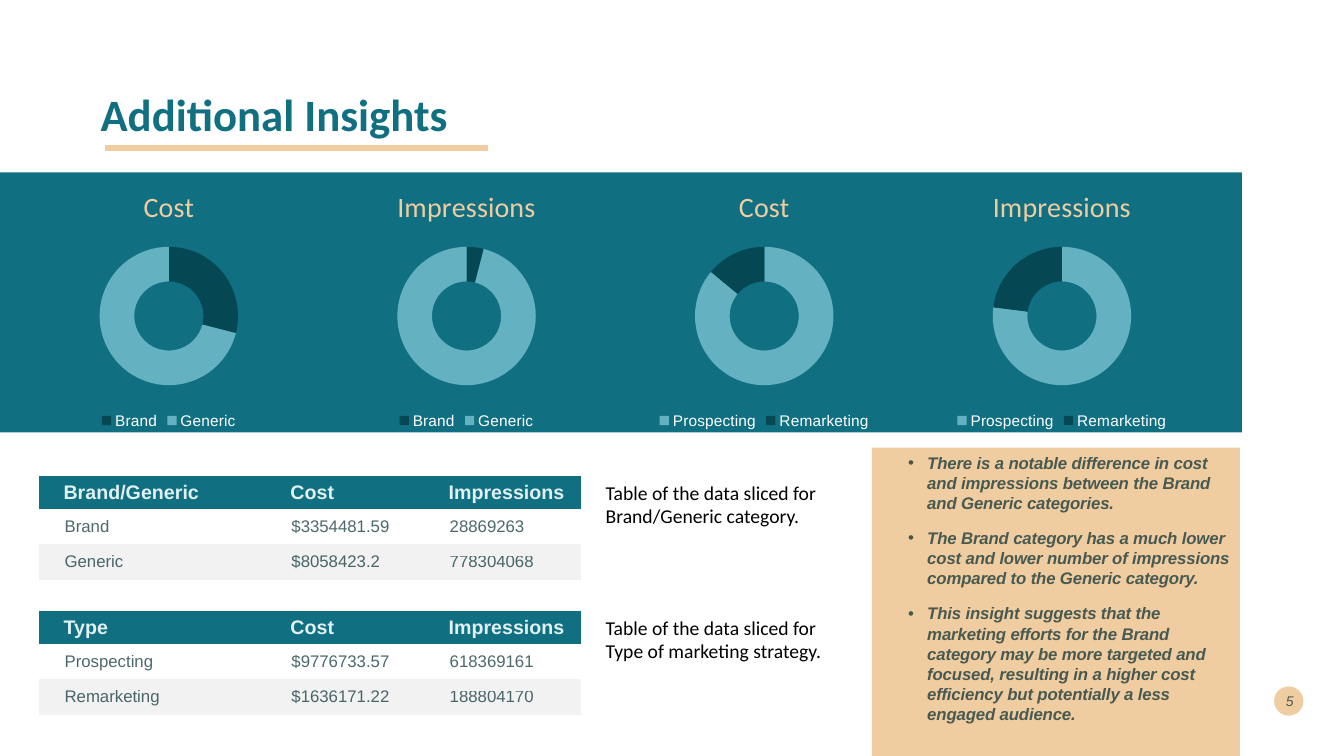
from lxml import etree
from pptx import Presentation
from pptx.chart.data import CategoryChartData
from pptx.dml.color import RGBColor
from pptx.enum.chart import XL_CHART_TYPE as ChartType, XL_LEGEND_POSITION as LegendPosition
from pptx.enum.shapes import MSO_CONNECTOR as Connector, MSO_SHAPE as Shape
from pptx.enum.text import MSO_ANCHOR as Anchor, PP_ALIGN as Align
from pptx.oxml import parse_xml
from pptx.oxml.ns import nsdecls, qn
from pptx.util import Inches, Pt

TEAL = RGBColor(0x10, 0x70, 0x82)
DARK_TEAL = RGBColor(0x05, 0x48, 0x54)
LIGHT_TEAL = RGBColor(0x64, 0xB2, 0xC1)
PALE_TEAL = RGBColor(0xE0, 0xF0, 0xF3)
SAND = RGBColor(0xF0, 0xCD, 0xA1)
INK = RGBColor(0x00, 0x29, 0x2E)
STRIPE = RGBColor(0xF2, 0xF2, 0xF2)
WHITE = RGBColor(0xFF, 0xFF, 0xFF)
BLACK = RGBColor(0x00, 0x00, 0x00)

prs = Presentation()
prs.slide_width, prs.slide_height = Inches(13.33), Inches(7.5)
slide = prs.slides.add_slide(prs.slide_layouts[6])
shapes = slide.shapes


def area(left, top, width, height):
    """Turn percentages of the slide's width and height into lengths."""
    across, down = prs.slide_width / 100, prs.slide_height / 100
    return int(left * across), int(top * down), int(width * across), int(height * down)


def add_run(paragraph, text, size, color, font="Arial", bold=False, italic=False, spacing=0):
    """Add one run; INK text is always 70 % opaque."""
    run = paragraph.add_run()
    run.text = text
    run.font.size, run.font.name = Pt(size), font
    run.font.bold, run.font.italic = bold, italic
    run.font.color.rgb = color
    properties = run.font._element
    if spacing:
        properties.set("spc", str(spacing))
    if color == INK:
        etree.SubElement(properties.find(".//" + qn("a:srgbClr")), qn("a:alpha"), val="70000")


# Teal band, page number disc and sand panel
panels = []
for kind, place, color in (
    (Shape.RECTANGLE, (0, 22.8, 92.4, 34.4), TEAL),
    (Shape.OVAL, (94.8, 90.8, 2.18, 3.87), SAND),
    (Shape.RECTANGLE, (64.88, 59.2, 27.38, 40.8), SAND),
):
    panel = shapes.add_shape(kind, *area(*place))
    panel.shadow.inherit = False
    panel.fill.solid()
    panel.fill.fore_color.rgb = color
    panel.line.fill.background()
    panels.append(panel)
insights = panels[-1].text_frame

# Page number, title and table captions
TABLE_TOPS = (62.93, 80.8)
for place, anchor, align, text, style in (
    ((94.05, 90, 2.93, 5.33), Anchor.MIDDLE, Align.RIGHT, "5",
     dict(size=10, color=INK, italic=True)),
    ((6.75, 5.33, 86.25, 19.33), Anchor.MIDDLE, Align.LEFT, "Additional Insights",
     dict(size=32, color=TEAL, font="Calibri", bold=True)),
    ((44.33, TABLE_TOPS[0], 19.5, 7.6), Anchor.TOP, Align.LEFT,
     "Table of the data sliced for Brand/Generic category.",
     dict(size=14, color=BLACK, font="Calibri")),
    ((44.33, TABLE_TOPS[1], 19.5, 7.6), Anchor.TOP, Align.LEFT,
     "Table of the data sliced for Type of marketing strategy.",
     dict(size=14, color=BLACK, font="Calibri")),
):
    frame = shapes.add_textbox(*area(*place)).text_frame
    frame.word_wrap = True
    frame.vertical_anchor = anchor
    frame.paragraphs[0].alignment = align
    add_run(frame.paragraphs[0], text, **style)

# Title underline
left, top, length, _ = area(7.8, 19.6, 28.5, 0)
underline = shapes.add_connector(Connector.STRAIGHT, left, top, left + length, top)
underline.line.color.rgb = SAND
underline.line.width = Pt(4.32)
etree.SubElement(underline._element.spPr, qn("a:effectLst"))

# Doughnut charts, evenly spaced along the band
BRAND, STRATEGY = ("Brand", "Generic"), ("Prospecting", "Remarketing")
for column, (measure, categories, shares, colors) in enumerate((
    ("Cost", BRAND, (29, 71), (DARK_TEAL, LIGHT_TEAL)),
    ("Impressions", BRAND, (4, 96), (DARK_TEAL, LIGHT_TEAL)),
    ("Cost", STRATEGY, (86, 14), (LIGHT_TEAL, DARK_TEAL)),
    ("Impressions", STRATEGY, (77, 23), (LIGHT_TEAL, DARK_TEAL)),
)):
    data = CategoryChartData()
    data.categories = categories
    data.add_series(measure, shares)
    place = area(column * 22.15, 22.67, 25.13, 34.67)
    chart = shapes.add_chart(ChartType.DOUGHNUT, *place, data).chart
    chart.font.size, chart.font.name = Pt(10), "Arial"
    chart.font.color.rgb = BLACK
    chart.has_title = True
    add_run(chart.chart_title.text_frame.paragraphs[0], measure, 20, SAND, "Calibri")
    chart.has_legend = True
    chart.legend.position = LegendPosition.BOTTOM
    chart.legend.include_in_layout = False
    chart.legend.font.size, chart.legend.font.name = Pt(11), "Arial"
    chart.legend.font.color.rgb = WHITE
    plot = chart.plots[0]
    plot.has_data_labels = False
    plot.vary_by_categories = True
    plot._element.find(qn("c:holeSize")).set("val", "67")
    for index, color in enumerate(colors):
        fill = plot.series[0].points[index].format.fill
        fill.solid()
        fill.fore_color.rgb = color
    # Ring position inside the chart
    plot_area = chart._chartSpace.chart.plotArea
    for layout in plot_area.findall(qn("c:layout")):
        plot_area.remove(layout)
    plot_area.insert(0, parse_xml(
        f'<c:layout {nsdecls("c")}><c:manualLayout><c:layoutTarget val="inner"/>'
        '<c:xMode val="edge"/><c:yMode val="edge"/><c:x val="0.295"/><c:y val="0.287"/>'
        '<c:w val="0.41"/><c:h val="0.53"/></c:manualLayout></c:layout>'))

# Data tables
PLAIN_STYLE = "{2D5ABB26-0587-4C30-8999-92F81FD0307C}"
for top, rows in zip(TABLE_TOPS, (
    (("Brand/Generic", "Cost", "Impressions"),
     ("Brand", "$3354481.59", "28869263"),
     ("Generic", "$8058423.2", "778304068")),
    (("Type", "Cost", "Impressions"),
     ("Prospecting", "$9776733.57", "618369161"),
     ("Remarketing", "$1636171.22", "188804170")),
)):
    table = shapes.add_table(3, 3, *area(2.93, top, 40.28, 13.6)).table
    table.horz_banding = False
    table._tbl.tblPr.find(qn("a:tableStyleId")).text = PLAIN_STYLE
    for column, width in zip(table.columns, (2.25, 1.57, 1.55)):
        column.width = Inches(width)
    for r, (values, height, fill, space, indent) in enumerate(zip(
        rows, (0.33, 0.35, 0.35), (TEAL, None, STRIPE), (7.8, 4.2, 3.7), (0.24, 0.25, 0.25),
    )):
        table.rows[r].height = Inches(height)
        for c, value in enumerate(values):
            cell = table.cell(r, c)
            cell.margin_left = cell.margin_right = cell.margin_top = cell.margin_bottom = 0
            cell.vertical_anchor = Anchor.MIDDLE
            if fill is None:
                cell.fill.background()
            else:
                cell.fill.solid()
                cell.fill.fore_color.rgb = fill
            paragraph = cell.text_frame.paragraphs[0]
            paragraph.space_before = Pt(space)
            paragraph._p.get_or_add_pPr().set("marL", str(Inches(indent)))
            if r == 0:
                add_run(paragraph, value, 14, PALE_TEAL, bold=True)
            else:
                add_run(paragraph, value, 12, INK)

# Insights list on the sand panel
insights.word_wrap = True
insights.vertical_anchor = Anchor.TOP
for index, insight in enumerate((
    "There is a notable difference in cost and impressions between the Brand "
    "and Generic categories.",
    "The Brand category has a much lower cost and lower number of impressions "
    "compared to the Generic category.",
    "This insight suggests that the marketing efforts for the Brand category may be more "
    "targeted and focused, resulting in a higher cost efficiency but potentially a less "
    "engaged audience.",
)):
    paragraph = insights.add_paragraph() if index else insights.paragraphs[0]
    paragraph.alignment = Align.LEFT
    paragraph.space_before = Pt(10.6)
    properties = paragraph._p.get_or_add_pPr()
    properties.set("marL", str(Inches(0.45)))
    properties.set("indent", str(Inches(-0.19)))
    etree.SubElement(properties, qn("a:buFont"), typeface="Arial")
    etree.SubElement(properties, qn("a:buChar"), char="•")
    add_run(paragraph, insight, 12, INK, bold=True, italic=True, spacing=-10)

prs.save("out.pptx")
